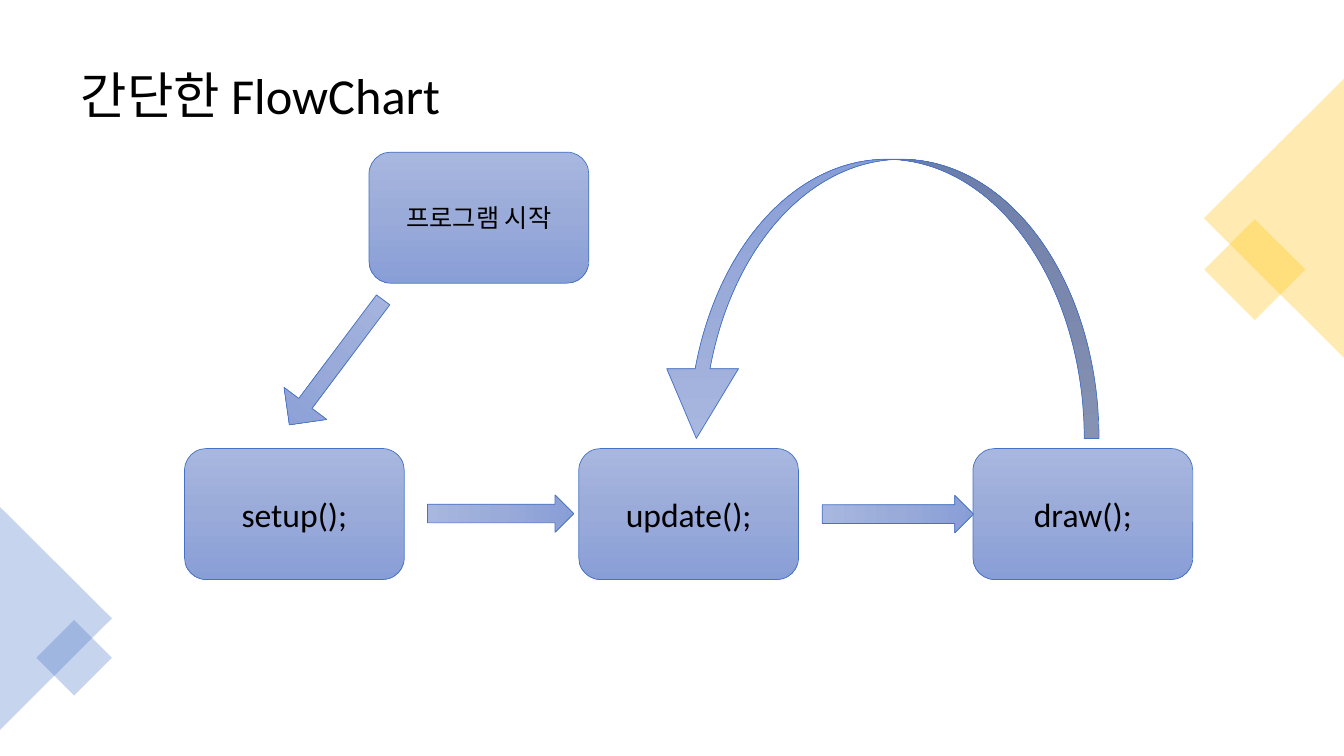
from copy import deepcopy

from pptx import Presentation
from pptx.dml.color import RGBColor
from pptx.enum.shapes import MSO_SHAPE as Shape
from pptx.enum.text import MSO_ANCHOR as Anchor, MSO_AUTO_SIZE as AutoSize, PP_ALIGN as Align
from pptx.oxml.ns import qn
from pptx.util import Emu, Pt

PX = 9144
FONT = "Calibri"
BLACK, BLUE, GOLD = "000000", "4472C4", "FFC000"
GRADIENT = ("A8B7DF", "9AABD9", "889ED7")
STEP_SIZE = (218, 130)


def px(length):
    """Turn px into EMU."""
    return Emu(length * PX)


def paint(color_format, hex_color):
    """Set a colour from a hex string."""
    color_format.rgb = RGBColor.from_string(hex_color)


def write(frame, text, size, align):
    """Write one formatted line of text in the middle of a frame."""
    frame.text = text
    for name, value in {"word_wrap": True, "auto_size": AutoSize.NONE,
                        "vertical_anchor": Anchor.MIDDLE}.items():
        setattr(frame, name, value)
    line = frame.paragraphs[0]
    line.alignment = align
    font = line.runs[0].font
    for name, value in {"name": FONT, "size": Pt(size)}.items():
        setattr(font, name, value)
    paint(font.color, BLACK)


def add_preset(slide, kind, box, rotation=0, adjustments=()):
    """Add a preset shape without shadow."""
    shape = slide.shapes.add_shape(kind, *map(px, box))
    shape.shadow.inherit = False
    shape.rotation = rotation
    for index, value in enumerate(adjustments):
        shape.adjustments[index] = value
    return shape


def add_tinted(slide, kind, box, rotation, color):
    """Add a see-through corner ornament."""
    shape = add_preset(slide, kind, box, rotation)
    shape.line.fill.background()
    shape.fill.solid()
    paint(shape.fill.fore_color, color)
    tint = next(shape.element.spPr.iter(qn("a:srgbClr")))
    tint.makeelement(qn("a:alpha"), {"val": "30000"})
    tint.append(tint.makeelement(qn("a:alpha"), {"val": "30000"}))


def add_shaded(slide, kind, box, rotation=0, adjustments=()):
    """Add a flow part with the three-stop gradient and thin outline."""
    shape = add_preset(slide, kind, box, rotation, adjustments)
    shape.fill.gradient()
    shape.fill.gradient_angle = 270
    first = next(shape.element.spPr.iter(qn("a:gs")))
    first.addnext(deepcopy(first))
    for index, (stop, color) in enumerate(zip(shape.fill.gradient_stops, GRADIENT)):
        stop.position = index / 2
        paint(stop.color, color)
    paint(shape.line.color, BLUE)
    shape.line.width = Pt(0.5)
    return shape


def add_title(slide, box, text):
    """Place the slide title in its box."""
    title = slide.shapes.title
    for name, value in zip(("left", "top", "width", "height"), box):
        setattr(title, name, px(value))
    write(title.text_frame, text, 36, Align.LEFT)
    title.text_frame.paragraphs[0].line_spacing = 0.9


def add_corners(slide, width, height):
    """Place the gold and blue ornaments against the slide edges."""
    add_tinted(slide, Shape.RECTANGLE, (width - 124, 232, 71, 71), 45, GOLD)
    add_tinted(slide, Shape.ISOSCELES_TRIANGLE, (width - 208, 147, 277, 139), 270, GOLD)
    add_tinted(slide, Shape.ISOSCELES_TRIANGLE, (-55, height - 192, 221, 111), 90, BLUE)
    add_tinted(slide, Shape.RECTANGLE, (47, height - 124, 53, 53), 45, BLUE)


def add_step(slide, left, top, text, size):
    """Add one labelled flow step."""
    step = add_shaded(slide, Shape.ROUNDED_RECTANGLE, (left, top, *STEP_SIZE))
    write(step.text_frame, text, size, Align.CENTER)


def add_flow(slide, left, top):
    """Place the steps and arrows from the top left of the chart."""
    steps_top = top + 294
    for index, name in enumerate(("setup();", "update();", "draw();")):
        add_step(slide, left + index * 391, steps_top, name, 24)
    add_step(slide, left + 183, top, "프로그램 시작", 18)
    add_shaded(slide, Shape.DOWN_ARROW, (left + 124, top + 131, 53, 155), 36.9, (0.31, 0.5))
    for offset, length in ((295, 145), (689, 150)):
        arrow_top = steps_top + (STEP_SIZE[1] - length) // 2
        add_shaded(slide, Shape.DOWN_ARROW, (left + offset, arrow_top, 37, length), 270)
    add_shaded(slide, Shape.CURVED_UP_ARROW, (left + 472, top + 7, 435, 277), 180,
               (0.053, 0.257, 0.25))


def main():
    """Build and save the flow chart slide."""
    width, height = 1333, 750
    deck = Presentation()
    deck.slide_width, deck.slide_height = px(width), px(height)
    slide = deck.slides.add_slide(deck.slide_layouts[5])
    add_title(slide, (70, 35, 1193, 124), "간단한 FlowChart")
    add_corners(slide, width, height)
    add_flow(slide, 183, 151)
    deck.save("out.pptx")


if __name__ == "__main__":
    main()
